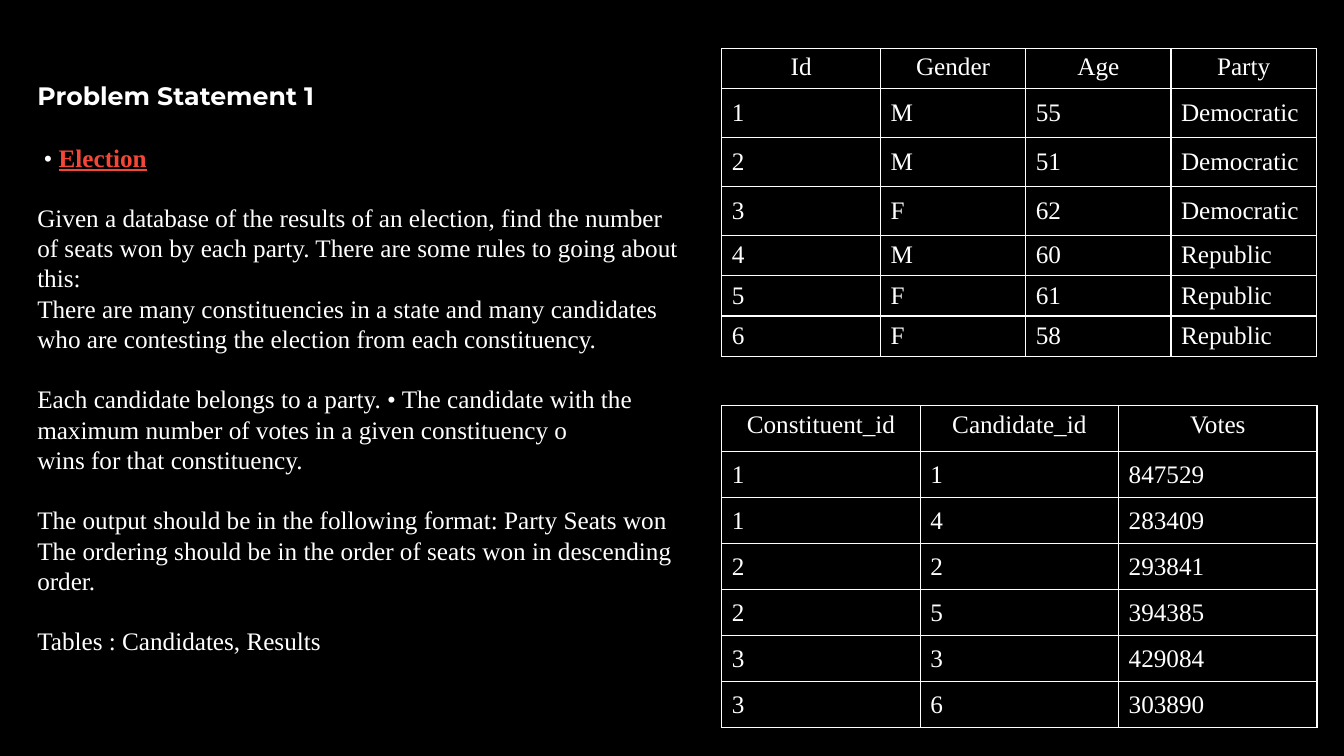
import pptx
import pptx.dml.color
import pptx.enum.text
import pptx.oxml
import pptx.oxml.ns
import pptx.util

Cm, Pt = pptx.util.Cm, pptx.util.Pt
RGB = pptx.dml.color.RGBColor
BLACK = RGB(0x00, 0x00, 0x00)
WHITE = RGB(0xFF, 0xFF, 0xFF)
RED = RGB(0xF4, 0x47, 0x37)
SERIF = "Times New Roman"
SIZE = Pt(18)
LINE = Pt(21.6)

TITLE = "Problem Statement 1"
TOPIC = "Election"
BODY = [
    ["Given a database of the results of an election, find the number of seats won by each party. "
     "There are some rules to going about this:",
     "There are many constituencies in a state and many candidates who are contesting the election "
     "from each constituency."],
    ["Each candidate belongs to a party. • The candidate with the maximum number of votes in a given "
     "constituency o",
     "wins for that constituency."],
    ["The output should be in the following format: Party Seats won The ordering should be in the "
     "order of seats won in descending order."],
    ["Tables : Candidates, Results"],
]
PEOPLE = [
    ("Id", "Gender", "Age", "Party"),
    ("1", "M", "55", "Democratic"),
    ("2", "M", "51", "Democratic"),
    ("3", "F", "62", "Democratic"),
    ("4", "M", "60", "Republic"),
    ("5", "F", "61", "Republic"),
    ("6", "F", "58", "Republic"),
]
VOTES = [
    ("Constituent_id", "Candidate_id", "Votes"),
    ("1", "1", "847529"),
    ("1", "4", "283409"),
    ("2", "2", "293841"),
    ("2", "5", "394385"),
    ("3", "3", "429084"),
    ("3", "6", "303890"),
]


def style(run, name=SERIF, color=WHITE, bold=False):
    """Set the font of one run."""
    font = run.font
    font.name, font.size, font.bold = name, SIZE, bold
    font.color.rgb = color


def add_title(slide, left, top, width, height):
    """Place the heading in the title placeholder."""
    shape = slide.shapes.title
    shape.left, shape.top, shape.width, shape.height = left, top, width, height
    frame = shape.text_frame
    frame.text = TITLE
    frame.vertical_anchor = pptx.enum.text.MSO_ANCHOR.TOP
    para = frame.paragraphs[0]
    para.alignment = pptx.enum.text.PP_ALIGN.LEFT
    style(para.runs[0], "Montserrat", bold=True)


def add_body(slide, left, top, width, height):
    """Write the topic and the blocks of the problem text."""
    frame = slide.shapes.add_textbox(left, top, width, height).text_frame
    frame.word_wrap = True
    para = frame.paragraphs[0]
    para.line_spacing = LINE
    dot, topic = para.add_run(), para.add_run()
    dot.text, topic.text = " • ", TOPIC
    style(dot)
    style(topic, color=RED, bold=True)
    topic.font.underline = True
    for block in BODY:
        for index, text in enumerate(block):
            para = frame.add_paragraph()
            para.text = text
            para.line_spacing = LINE
            para.space_before = Pt(0) if index else LINE
            style(para.runs[0])


def add_edges(cell):
    """Draw a thin white line on each side of a cell."""
    props = cell._tc.get_or_add_tcPr()
    for place, side in enumerate(("lnL", "lnR", "lnT", "lnB")):
        props.insert(place, pptx.oxml.parse_xml(
            f'<a:{side} {pptx.oxml.ns.nsdecls("a")} w="12700"><a:solidFill>'
            f'<a:srgbClr val="{WHITE}"/></a:solidFill></a:{side}>'))


def add_grid(slide, left, top, data, widths, heights):
    """Build a ruled table with a centred header row."""
    table = slide.shapes.add_table(
        len(data), len(widths), left, top, sum(widths), sum(heights)).table
    table.first_row = table.horz_banding = False
    for col, width in zip(table.columns, widths):
        col.width = width
    for index, (row, height, texts) in enumerate(zip(table.rows, heights, data)):
        row.height = height
        for cell, text in zip(row.cells, texts):
            cell.text = text
            cell.fill.solid()
            cell.fill.fore_color.rgb = BLACK
            para = cell.text_frame.paragraphs[0]
            style(para.runs[0])
            if index == 0:
                para.alignment = pptx.enum.text.PP_ALIGN.CENTER
            else:
                cell.vertical_anchor = pptx.enum.text.MSO_ANCHOR.MIDDLE
            add_edges(cell)


def main():
    """Build the slide and save it."""
    deck = pptx.Presentation()
    deck.slide_width, deck.slide_height = Cm(33.87), Cm(19.05)
    slide = deck.slides.add_slide(deck.slide_layouts[5])
    slide.background.fill.solid()
    slide.background.fill.fore_color.rgb = BLACK
    add_title(slide, Cm(0.69), Cm(1.9), Cm(16.94), Cm(1.1))
    add_body(slide, Cm(0.69), Cm(3.45), Cm(16.94), Cm(13.6))
    low, tall = Cm(1.01), Cm(1.23)
    add_grid(slide, Cm(18.19), Cm(1.22), PEOPLE,
             [Cm(4)] + [Cm(3.66)] * 3, [low] + [tall] * 3 + [low] * 3)
    add_grid(slide, Cm(18.19), Cm(10.22), VOTES, [Cm(5)] * 3, [Cm(1.16)] * 7)
    deck.save("out.pptx")


if __name__ == "__main__":
    main()
